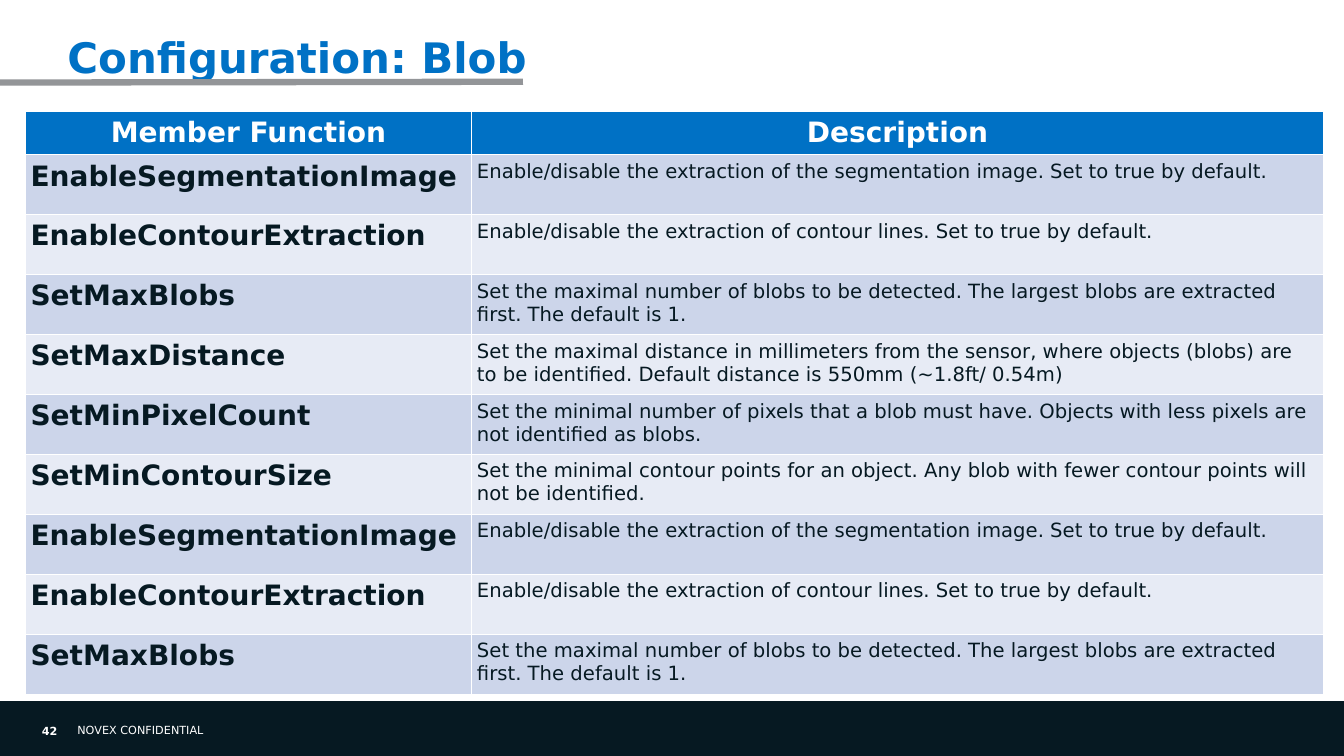
from pptx import Presentation
from pptx.dml.color import RGBColor
from pptx.enum.shapes import MSO_CONNECTOR, MSO_SHAPE
from pptx.enum.text import MSO_ANCHOR, MSO_AUTO_SIZE, PP_ALIGN
from pptx.oxml.ns import qn
from pptx.util import Cm, Pt
from lxml import etree

# Content
TITLE = "Configuration: Blob"
FOOTER = "NOVEX CONFIDENTIAL"
PAGE = "42"
HEAD = ("Member Function", "Description")
SEGMENT = ("EnableSegmentationImage",
           "Enable/disable the extraction of the segmentation image. Set to true by default.")
CONTOUR = ("EnableContourExtraction",
           "Enable/disable the extraction of contour lines. Set to true by default.")
BLOBS = ("SetMaxBlobs",
         "Set the maximal number of blobs to be detected. The largest blobs are extracted "
         "first. The default is 1.")
ROWS = [
    SEGMENT,
    CONTOUR,
    BLOBS,
    ("SetMaxDistance",
     "Set the maximal distance in millimeters from the sensor, where objects (blobs) are "
     "to be identified. Default distance is 550mm (~1.8ft/ 0.54m)"),
    ("SetMinPixelCount",
     "Set the minimal number of pixels that a blob must have. Objects with less pixels are "
     "not identified as blobs."),
    ("SetMinContourSize",
     "Set the minimal contour points for an object. Any blob with fewer contour points will "
     "not be identified."),
    SEGMENT,
    CONTOUR,
    BLOBS,
]

# Style
FONT = "DejaVu Sans"
BLUE = RGBColor(0x00, 0x71, 0xC5)
NAVY = RGBColor(0x06, 0x19, 0x22)
GRAY = RGBColor(0x93, 0x95, 0x98)
WHITE = RGBColor(0xFF, 0xFF, 0xFF)
BANDS = (RGBColor(0xCC, 0xD5, 0xEA), RGBColor(0xE7, 0xEB, 0xF5))
LEFT, CENTER, RIGHT = PP_ALIGN.LEFT, PP_ALIGN.CENTER, PP_ALIGN.RIGHT
TOP, MIDDLE = MSO_ANCHOR.TOP, MSO_ANCHOR.MIDDLE
WIDTH, HEIGHT = Cm(33.87), Cm(19.05)
COLS = (Cm(11.25), Cm(21.46))
HEAD_H, ROW_H = Cm(1.02), Cm(1.51)
PAD = Cm(0.13)


def write(frame, text, size, color, bold=False, align=LEFT):
    frame.text = text
    para = frame.paragraphs[0]
    para.alignment = align
    font = para.font
    font.name, font.size, font.bold = FONT, Pt(size), bold
    font.color.rgb = color
    return para


def set_pad(frame, side, edge=0):
    frame.margin_left = frame.margin_right = side
    frame.margin_top = frame.margin_bottom = edge


def add_label(slide, box, text, bold, align, side):
    frame = slide.shapes.add_textbox(*box).text_frame
    frame.word_wrap = True
    frame.vertical_anchor = MIDDLE
    set_pad(frame, side)
    write(frame, text, 8, WHITE, bold, align)


def add_title(slide):
    title = slide.shapes.title
    title.left, title.top = Cm(1.7), Cm(1.14)
    title.width, title.height = Cm(30.48), Cm(2.46)
    frame = title.text_frame
    frame.auto_size = MSO_AUTO_SIZE.NONE
    frame.vertical_anchor = TOP
    set_pad(frame, 0)
    write(frame, TITLE, 30, BLUE, True).line_spacing = Pt(26)

    # Rule under the title
    rule = slide.shapes.add_connector(
        MSO_CONNECTOR.STRAIGHT, Cm(-0.03), Cm(2.08), Cm(13.18), Cm(2.06))
    rule.line.color.rgb = GRAY
    rule.line.width = Pt(4.5)
    etree.SubElement(rule._element.spPr, qn("a:effectLst"))


def add_footer(slide):
    top = Cm(17.68)
    band = slide.shapes.add_shape(MSO_SHAPE.RECTANGLE, 0, top, WIDTH, HEIGHT - top)
    band.shadow.inherit = False
    band.fill.solid()
    band.fill.fore_color.rgb = NAVY
    band.line.color.rgb = NAVY
    band.line.width = Pt(0.25)
    add_label(slide, (Cm(1.95), Cm(18.24), Cm(10.72), Cm(0.33)), FOOTER, False, LEFT, 0)
    add_label(slide, (0, Cm(18.11), Cm(1.7), Cm(0.61)), PAGE, True, RIGHT, Cm(0.25))


def add_grid(slide):
    high = HEAD_H + ROW_H * len(ROWS)
    grid = slide.shapes.add_table(
        len(ROWS) + 1, len(COLS), Cm(0.64), Cm(2.8), sum(COLS), high).table
    for col, wide in zip(grid.columns, COLS):
        col.width = wide
    for r, texts in enumerate([HEAD] + ROWS):
        top = r == 0
        grid.rows[r].height = HEAD_H if top else ROW_H
        for c, text in enumerate(texts):
            cell = grid.cell(r, c)
            cell.fill.solid()
            cell.fill.fore_color.rgb = BLUE if top else BANDS[(r - 1) % 2]
            if top:
                write(cell.text_frame, text, 20, WHITE, True, CENTER)
            else:
                set_pad(cell, PAD, PAD)
                write(cell.text_frame, text, 14 if c else 20, NAVY, c == 0)


def main():
    deck = Presentation()
    deck.slide_width, deck.slide_height = WIDTH, HEIGHT
    slide = deck.slides.add_slide(deck.slide_layouts[5])
    add_title(slide)
    add_footer(slide)
    add_grid(slide)
    deck.save("out.pptx")


if __name__ == "__main__":
    main()
